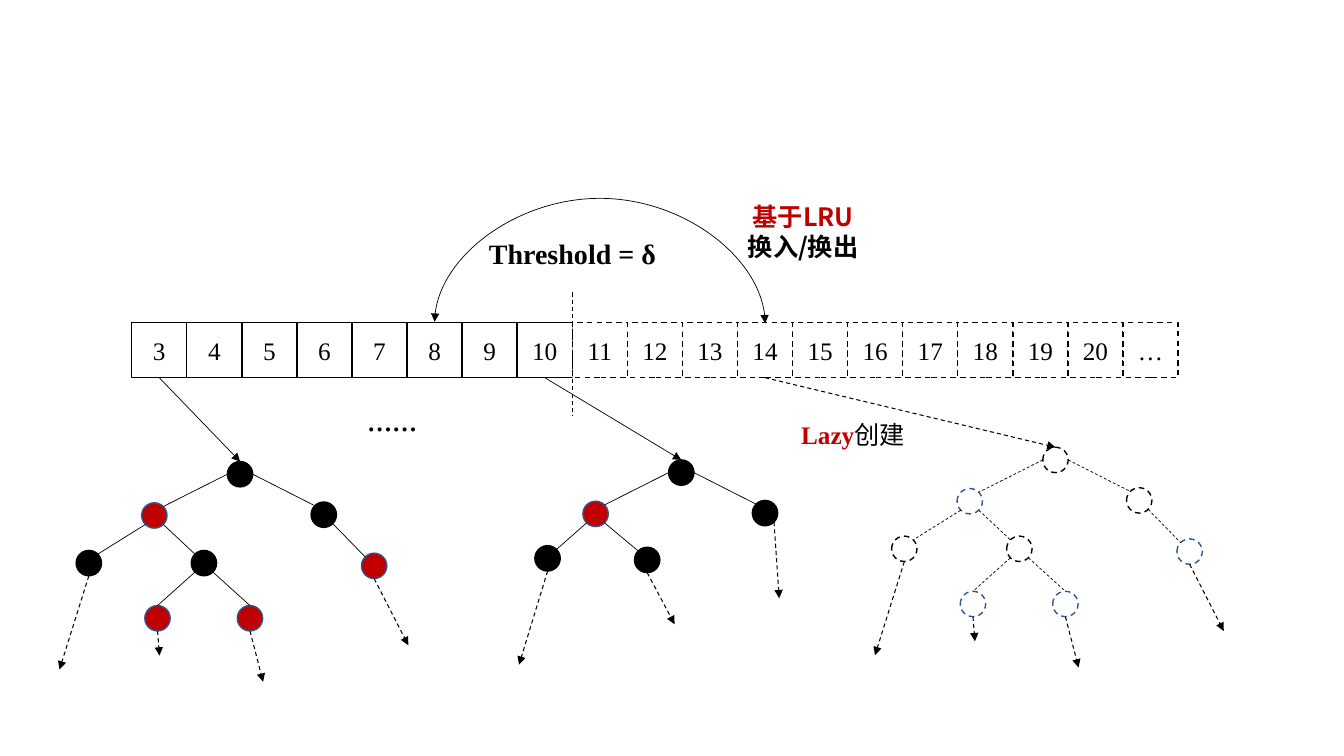
from dataclasses import dataclass
from math import sqrt
from typing import Any

from lxml import etree
from pptx import Presentation
from pptx import util as u
from pptx.dml.color import RGBColor
from pptx.enum import dml, shapes, text
from pptx.oxml.ns import qn

BLACK = RGBColor(0x00, 0x00, 0x00)
WHITE = RGBColor(0xFF, 0xFF, 0xFF)
RED = RGBColor(0xC0, 0x00, 0x00)
BLUE = RGBColor(0x32, 0x54, 0x91)
SERIF, CJK = "Times New Roman", "Noto Sans CJK SC"
DASH = dml.MSO_LINE.DASH
STRAIGHT, CURVE = shapes.MSO_CONNECTOR.STRAIGHT, shapes.MSO_CONNECTOR.CURVE
LEFT, CENTER = text.PP_ALIGN.LEFT, text.PP_ALIGN.CENTER

ROW_LEFT, ROW_TOP, ROW_WIDTH = 3.32, 8.13, 26.37
LABELS = [str(n) for n in range(3, 21)] + ["…"]
CELL = ROW_WIDTH / len(LABELS)
IN_MEMORY = 8
RADIUS = 0.32
DIAG = RADIUS / sqrt(2)
ANCHORS = {
    "top": (0, -RADIUS), "bottom": (0, RADIUS),
    "left": (-RADIUS, 0), "right": (RADIUS, 0),
    "top_left": (-DIAG, -DIAG), "top_right": (DIAG, -DIAG),
    "bottom_left": (-DIAG, DIAG), "bottom_right": (DIAG, DIAG),
}
Point = tuple[float, float]


@dataclass(frozen=True)
class Node:
    offset: Point
    red: bool = False
    parent: str = ""
    leave: str = ""
    enter: str = ""


@dataclass(frozen=True)
class Drop:
    node: str
    shift: Point
    leave: str = "bottom"


@dataclass(frozen=True)
class Tree:
    root: Point
    cell: int
    nodes: dict[str, Node]
    drops: list[Drop]
    lazy: bool = False


@dataclass(frozen=True)
class Run:
    words: str
    font: str
    color: RGBColor = BLACK
    size: int = 18
    bold: bool = True


@dataclass(frozen=True)
class Label:
    box: tuple[float, float, float, float]
    paragraphs: list[list[Run]]
    align: Any = CENTER


TOP_NODES = {
    "root": Node((0, 0)),
    "l": Node((-2.16, 1.04), True, "root", "left", "top_right"),
    "r": Node((2.11, 1.02), False, "root", "right", "top_left"),
}
FULL_NODES = TOP_NODES | {
    "ll": Node((-3.81, 2.24), False, "l", "bottom_left", "top_right"),
    "lr": Node((-0.91, 2.24), False, "l", "bottom_right", "top_left"),
    "rr": Node((3.38, 2.31), True, "r", "bottom_right", "top_left"),
    "lrl": Node((-2.08, 3.63), True, "lr", "bottom_left", "top"),
    "lrr": Node((0.25, 3.63), True, "lr", "bottom_right", "top"),
}
SMALL_NODES = TOP_NODES | {
    "ll": Node((-3.37, 2.16), False, "l", "bottom_left", "top_right"),
    "lr": Node((-0.86, 2.2), False, "l", "bottom_right", "top_left"),
}
FULL_DROPS = [
    Drop("ll", (-0.74, 2.36)), Drop("lrl", (0.05, 0.62)),
    Drop("lrr", (0.33, 1.28)), Drop("rr", (0.86, 1.68)),
]
SMALL_DROPS = [
    Drop("ll", (-0.72, 2.36)), Drop("lr", (0.69, 1.3)),
    Drop("r", (0.13, 1.92), "bottom_right"),
]
TREES = [
    Tree((6.05, 11.95), 0, FULL_NODES, FULL_DROPS),
    Tree((17.17, 11.91), 7, SMALL_NODES, SMALL_DROPS),
    Tree((26.6, 11.59), 11, FULL_NODES, FULL_DROPS, True),
]
LABELS_AROUND = [
    Label((8.41, 10.31, 2.95, 1.02), [[Run("……", CJK)]]),
    Label((12.07, 5.84, 4.85, 1.12), [[Run("Threshold = δ", SERIF, size=20)]], LEFT),
    Label((19.94, 10.44, 3.43, 1.02),
          [[Run("Lazy", SERIF, RED), Run("创建", CJK, bold=False)]], LEFT),
    Label((18.31, 4.95, 3.86, 1.8),
          [[Run("基于LRU", CJK, RED)], [Run("换入/换出", CJK)]]),
]


def apply(target: Any, values: dict[str, Any]) -> None:
    for name, value in values.items():
        setattr(target, name, value)


def outline(line: Any, color: RGBColor, width: float, dashed: bool) -> None:
    line.color.rgb = color
    apply(line, {"width": u.Pt(width), "dash_style": DASH if dashed else None})


def add_run(p: Any, run: Run) -> None:
    r = p.add_run()
    r.text = run.words
    apply(r.font, {"name": run.font, "size": u.Pt(run.size), "bold": run.bold})
    r.font.color.rgb = run.color
    etree.SubElement(r.font._element, qn("a:ea")).set("typeface", run.font)


def add_box(s: Any, kind: Any, box: tuple[float, float, float, float],
            fill: RGBColor, edge: RGBColor, dashed: bool) -> Any:
    sp = s.add_shape(kind, *map(u.Cm, box))
    sp.shadow.inherit = False
    sp.fill.solid()
    sp.fill.fore_color.rgb = fill
    outline(sp.line, edge, 1, dashed)
    return sp


def add_line(s: Any, start: Point, end: Point, width: float = 0.5, dashed: bool = False,
             arrows: tuple[str, ...] = (), kind: Any = STRAIGHT) -> Any:
    c = s.add_connector(kind, *map(u.Cm, start + end))
    outline(c.line, BLACK, width, dashed)
    spPr = c._element.spPr
    for arrow in arrows:
        etree.SubElement(spPr.find(qn("a:ln")), qn(f"a:{arrow}")).set("type", "triangle")
    etree.SubElement(spPr, qn("a:effectLst"))
    return c


def add_cell(s: Any, index: int, label: str) -> None:
    box = (ROW_LEFT + index * CELL, ROW_TOP, CELL, CELL)
    sp = add_box(s, shapes.MSO_SHAPE.RECTANGLE, box, WHITE, BLACK, index >= IN_MEMORY)
    sp.text_frame.vertical_anchor = text.MSO_ANCHOR.MIDDLE
    p = sp.text_frame.paragraphs[0]
    p.alignment = CENTER
    add_run(p, Run(label, SERIF, bold=False))


def add_tree(s: Any, tree: Tree) -> None:
    def at(name: str, anchor: str) -> Point:
        dx, dy = tree.nodes[name].offset
        ax, ay = ANCHORS[anchor]
        return tree.root[0] + dx + ax, tree.root[1] + dy + ay

    for name, node in tree.nodes.items():
        box = (at(name, "left")[0], at(name, "top")[1], 2 * RADIUS, 2 * RADIUS)
        fill = WHITE if tree.lazy else RED if node.red else BLACK
        add_box(s, shapes.MSO_SHAPE.OVAL, box, fill, BLUE if node.red else BLACK, tree.lazy)
        if node.parent:
            add_line(s, at(node.parent, node.leave), at(name, node.enter), dashed=tree.lazy)
    for drop in tree.drops:
        x, y = at(drop.node, drop.leave)
        end = (x + drop.shift[0], y + drop.shift[1])
        add_line(s, (x, y), end, 0.75, True, ("tailEnd",))
    start = (ROW_LEFT + (tree.cell + 0.5) * CELL, ROW_TOP + CELL)
    add_line(s, start, at("root", "top"), 0.75 if tree.lazy else 0.5, tree.lazy, ("tailEnd",))


def add_swap_arc(s: Any, first: int, last: int, height: float) -> None:
    middle = ROW_LEFT + (first + last + 1) / 2 * CELL
    half, thin = (last - first) / 2 * CELL, 0.04
    c = add_line(s, (middle - thin / 2, ROW_TOP + half), (middle + thin / 2, ROW_TOP - half),
                 arrows=("headEnd", "tailEnd"), kind=CURVE)
    spPr = c._element.spPr
    spPr.xfrm.set("rot", str(270 * 60000))
    guide = etree.SubElement(spPr.find(qn("a:prstGeom")).find(qn("a:avLst")), qn("a:gd"))
    guide.set("name", "adj1")
    guide.set("fmla", f"val {round(height / thin * 100000)}")


def add_label(s: Any, label: Label) -> None:
    tf = s.add_textbox(*map(u.Cm, label.box)).text_frame
    tf.word_wrap = True
    for i, runs in enumerate(label.paragraphs):
        p = tf.add_paragraph() if i else tf.paragraphs[0]
        p.alignment = label.align
        for run in runs:
            add_run(p, run)


prs = Presentation()
apply(prs, {"slide_width": u.Cm(33.87), "slide_height": u.Cm(19.05)})
s = prs.slides.add_slide(prs.slide_layouts[6]).shapes
for index, cell_label in enumerate(LABELS):
    add_cell(s, index, cell_label)
divider = ROW_LEFT + IN_MEMORY * CELL
add_line(s, (divider, 7.37), (divider, 10.49), 0.75, True)
for tree in TREES:
    add_tree(s.add_group_shape().shapes, tree)
add_swap_arc(s, 5, 11, 3.15)
for label in LABELS_AROUND:
    add_label(s, label)
prs.save("out.pptx")
